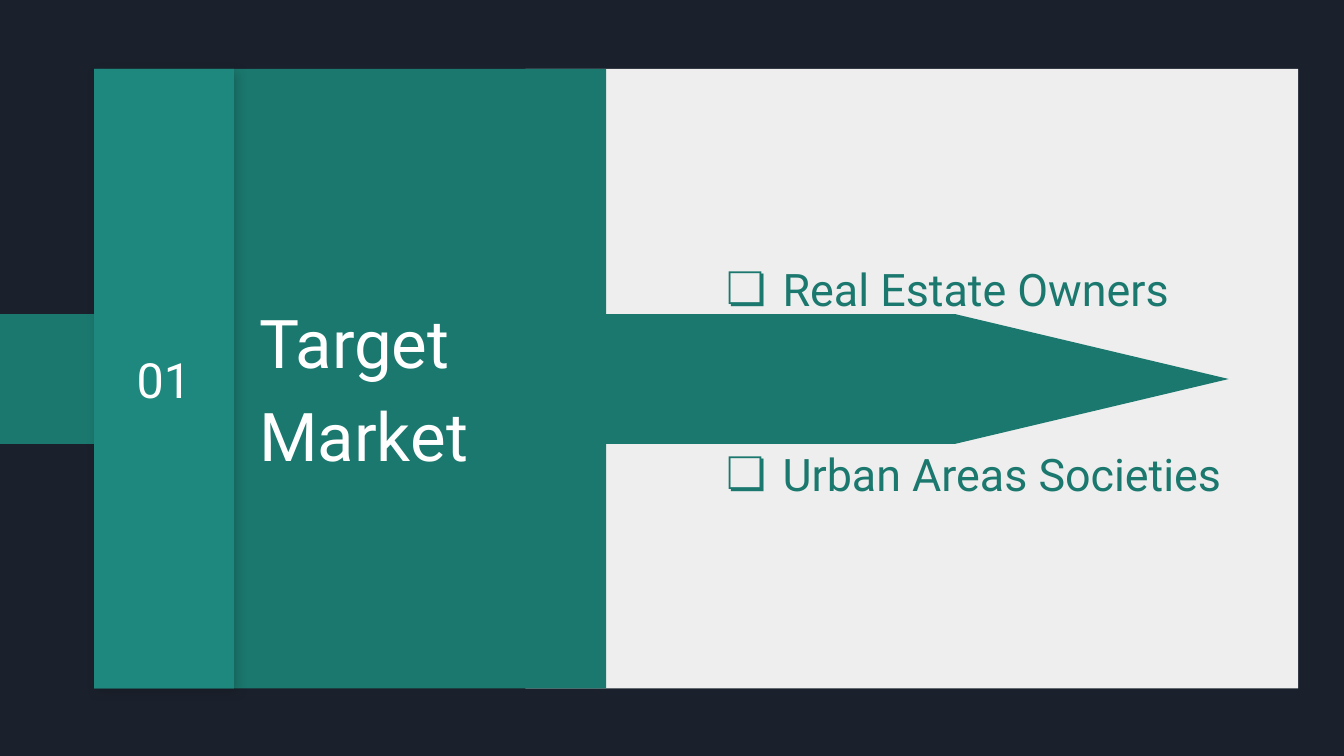
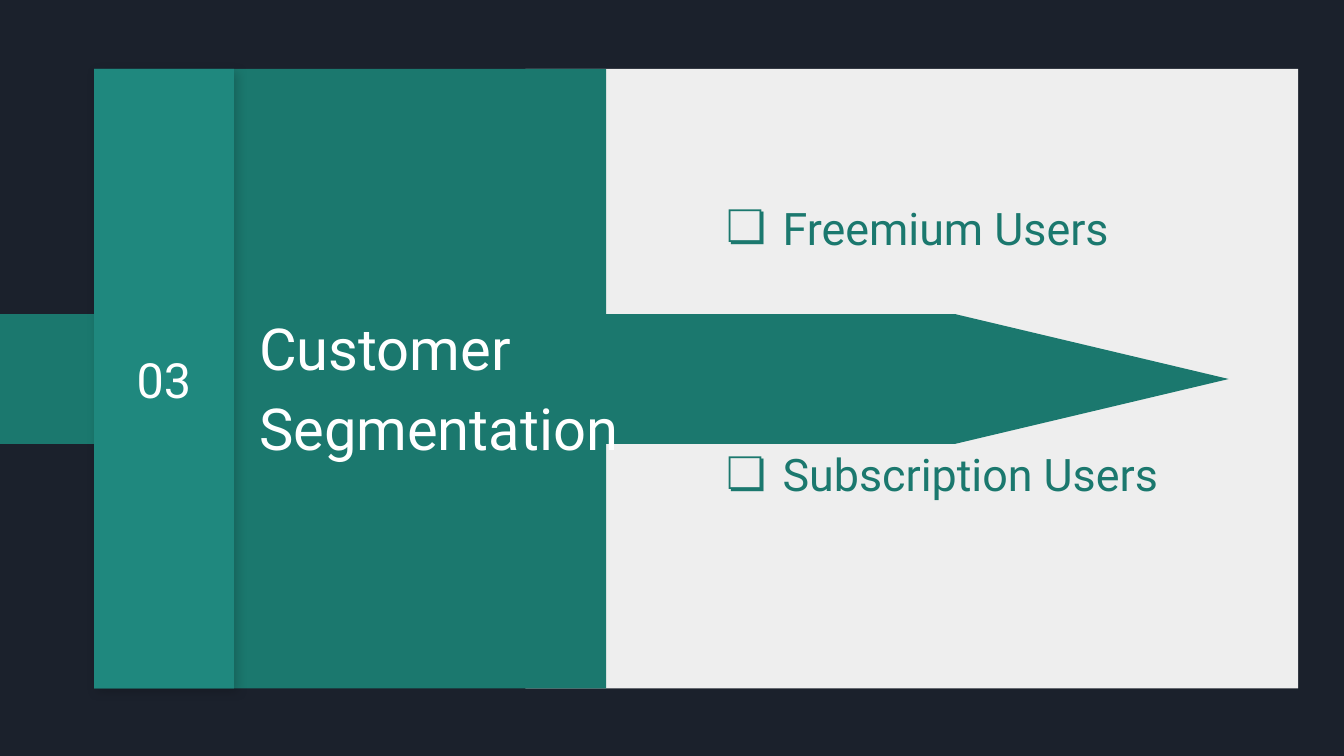
from dataclasses import dataclass

import pptx
import pptx.dml.color
import pptx.enum.shapes
import pptx.enum.text
import pptx.oxml
import pptx.oxml.ns
import pptx.util

COLORS = {
    "night": "1B212C",
    "paper": "EEEEEE",
    "teal": "1B786E",
    "tab_edge": "1D7E74",
    "tab": "1F887E",
    "white": "FFFFFF",
    "shade": "000000",
}
FONT = "Roboto"
WIDTH = pptx.util.Inches(10)
HEIGHT = WIDTH * 9 // 16
COLUMN = WIDTH / 100
ROW = HEIGHT / 56.25
MARGIN = 0.1
LINE_SPACING = 1.15
BULLET_SIZE = 24
BULLET_LINE = 33
LIST_LIFT = 2.5
SHAPES = pptx.enum.shapes.MSO_SHAPE
ALIGN = pptx.enum.text.PP_ALIGN


@dataclass(frozen=True)
class Area:
    col: float
    row: float
    cols: float
    rows: float

    def frame(self) -> tuple[int, int, int, int]:
        return (
            round(self.col * COLUMN),
            round(self.row * ROW),
            round(self.cols * COLUMN),
            round(self.rows * ROW),
        )


@dataclass(frozen=True)
class Panel:
    area: Area
    color: str
    preset: int = SHAPES.RECTANGLE
    rotation: int = 0
    shaded: bool = False


@dataclass(frozen=True)
class Section:
    number: str
    title: str
    title_size: int
    bullets: tuple[str, ...]
    lines_between: int
    lines_below: int = 0


TAB_AREA = Area(7, 5.13, 10.4, 46.1)
TITLE_AREA = Area(18.3, 10.65, 29.2, 35.6)
LIST_AREA = Area(52.25, 5.2, 44.3, 46.1)
TAB = Panel(TAB_AREA, "tab")
BACKDROP = (
    Panel(Area(39.1, 5.13, 57.5, 46.1), "paper"),
    Panel(Area(17.4, 5.13, 27.7, 46.1), "teal"),
    Panel(
        Area(35.75, -22.65, 9.65, 101.7),
        "teal",
        SHAPES.FLOWCHART_OFFPAGE_CONNECTOR,
        rotation=270,
    ),
    Panel(TAB_AREA, "tab_edge", shaded=True),
)
SECTIONS = (
    Section(
        "01",
        "Target Market",
        36,
        ("Real Estate Owners", "Urban Areas Societies"),
        lines_between=2,
    ),
    Section(
        "03",
        "Customer Segmentation",
        31,
        ("Freemium Users", "Subscription Users"),
        lines_between=3,
        lines_below=1,
    ),
)


def rgb(name: str) -> pptx.dml.color.RGBColor:
    return pptx.dml.color.RGBColor.from_string(COLORS[name])


def add_shade(panel_shape) -> None:
    effects = panel_shape._element.spPr.find(pptx.oxml.ns.qn("a:effectLst"))
    effects.append(
        pptx.oxml.parse_xml(
            f'<a:outerShdw {pptx.oxml.ns.nsdecls("a")} blurRad="{pptx.util.Pt(5.6)}"'
            f' dist="{pptx.util.Pt(2.2)}" dir="2700000" algn="bl" rotWithShape="0">'
            f'<a:srgbClr val="{COLORS["shade"]}"><a:alpha val="17000"/></a:srgbClr>'
            "</a:outerShdw>"
        )
    )


def draw_panel(slide, panel: Panel):
    drawn = slide.shapes.add_shape(panel.preset, *panel.area.frame())
    drawn.rotation = panel.rotation
    drawn.shadow.inherit = False
    drawn.fill.solid()
    drawn.fill.fore_color.rgb = rgb(panel.color)
    drawn.line.fill.background()
    if panel.shaded:
        add_shade(drawn)
    return drawn


def write(frame, lines: tuple[str, ...], size: int, color: str, align: int) -> None:
    frame.word_wrap = True
    frame.vertical_anchor = pptx.enum.text.MSO_ANCHOR.MIDDLE
    frame.margin_left = frame.margin_right = pptx.util.Inches(MARGIN)
    frame.margin_top = frame.margin_bottom = pptx.util.Inches(MARGIN)
    frame.text = "\n".join(lines)
    for paragraph in frame.paragraphs:
        paragraph.alignment = align
        for run in paragraph.runs:
            run.font.size = pptx.util.Pt(size)
            run.font.name = FONT
            run.font.color.rgb = rgb(color)


def draw_title(slide, section: Section) -> None:
    frame = slide.shapes.add_textbox(*TITLE_AREA.frame()).text_frame
    write(frame, (section.title,), section.title_size, "white", ALIGN.LEFT)
    frame.paragraphs[0].line_spacing = LINE_SPACING


def add_bullet(paragraph) -> None:
    properties = paragraph._p.get_or_add_pPr()
    properties.set("marL", str(pptx.util.Inches(0.5)))
    properties.set("indent", str(pptx.util.Inches(-0.42)))
    namespace = pptx.oxml.ns.nsdecls("a")
    for markup in (
        f'<a:buClr {namespace}><a:srgbClr val="{COLORS["teal"]}"/></a:buClr>',
        f'<a:buFont {namespace} typeface="{FONT}"/>',
        f'<a:buChar {namespace} char="❏"/>',
    ):
        properties.append(pptx.oxml.parse_xml(markup))


def draw_list(slide, section: Section) -> None:
    frame = slide.shapes.add_textbox(*LIST_AREA.frame()).text_frame
    write(frame, section.bullets, BULLET_SIZE, "teal", ALIGN.LEFT)
    frame.margin_bottom += pptx.util.Pt(LIST_LIFT + section.lines_below * BULLET_LINE)
    for position, paragraph in enumerate(frame.paragraphs):
        paragraph.line_spacing = LINE_SPACING
        if position:
            paragraph.space_before = pptx.util.Pt(section.lines_between * BULLET_LINE)
        add_bullet(paragraph)


def draw_section(deck, section: Section) -> None:
    slide = deck.slides.add_slide(deck.slide_layouts[6])
    slide.background.fill.solid()
    slide.background.fill.fore_color.rgb = rgb("night")
    for panel in BACKDROP:
        draw_panel(slide, panel)
    tab = draw_panel(slide, TAB)
    write(tab.text_frame, (section.number,), 26, "white", ALIGN.CENTER)
    draw_list(slide, section)
    draw_title(slide, section)


def main() -> None:
    deck = pptx.Presentation()
    deck.slide_width = WIDTH
    deck.slide_height = HEIGHT
    for section in SECTIONS:
        draw_section(deck, section)
    deck.save("out.pptx")


if __name__ == "__main__":
    main()
